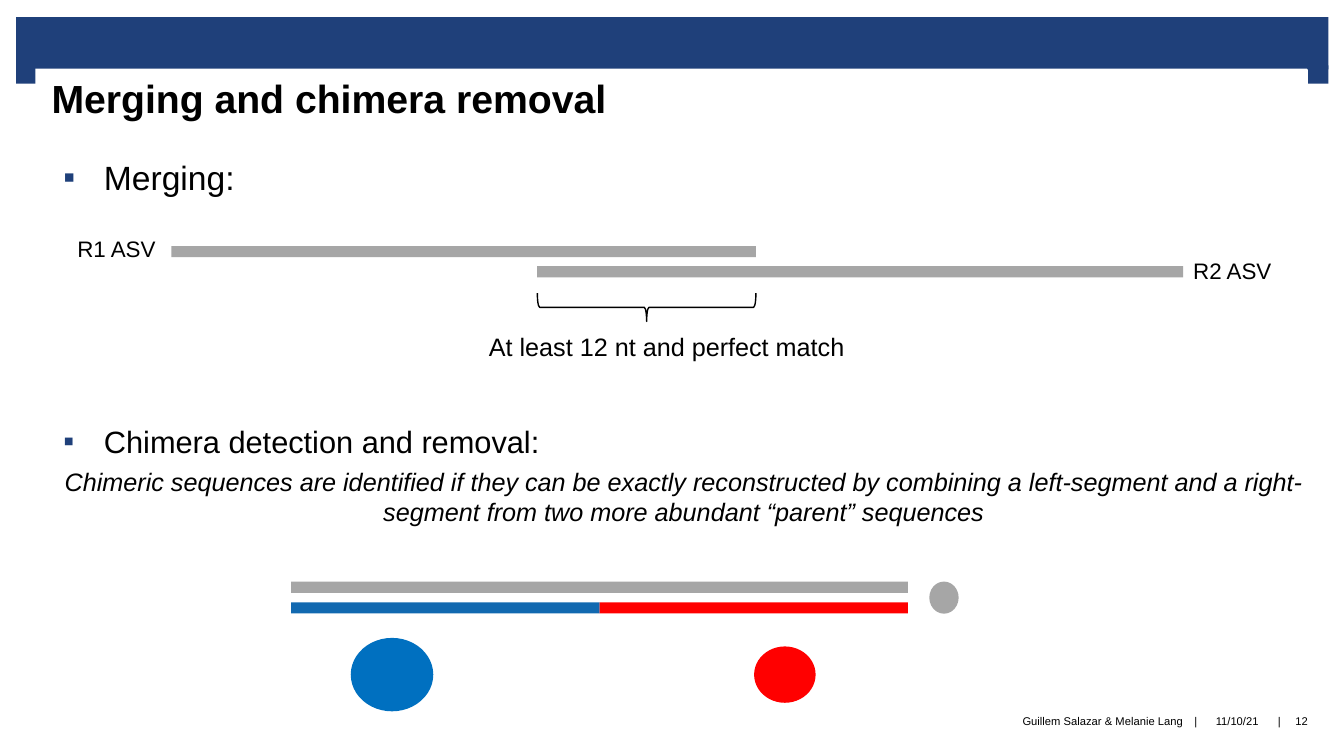
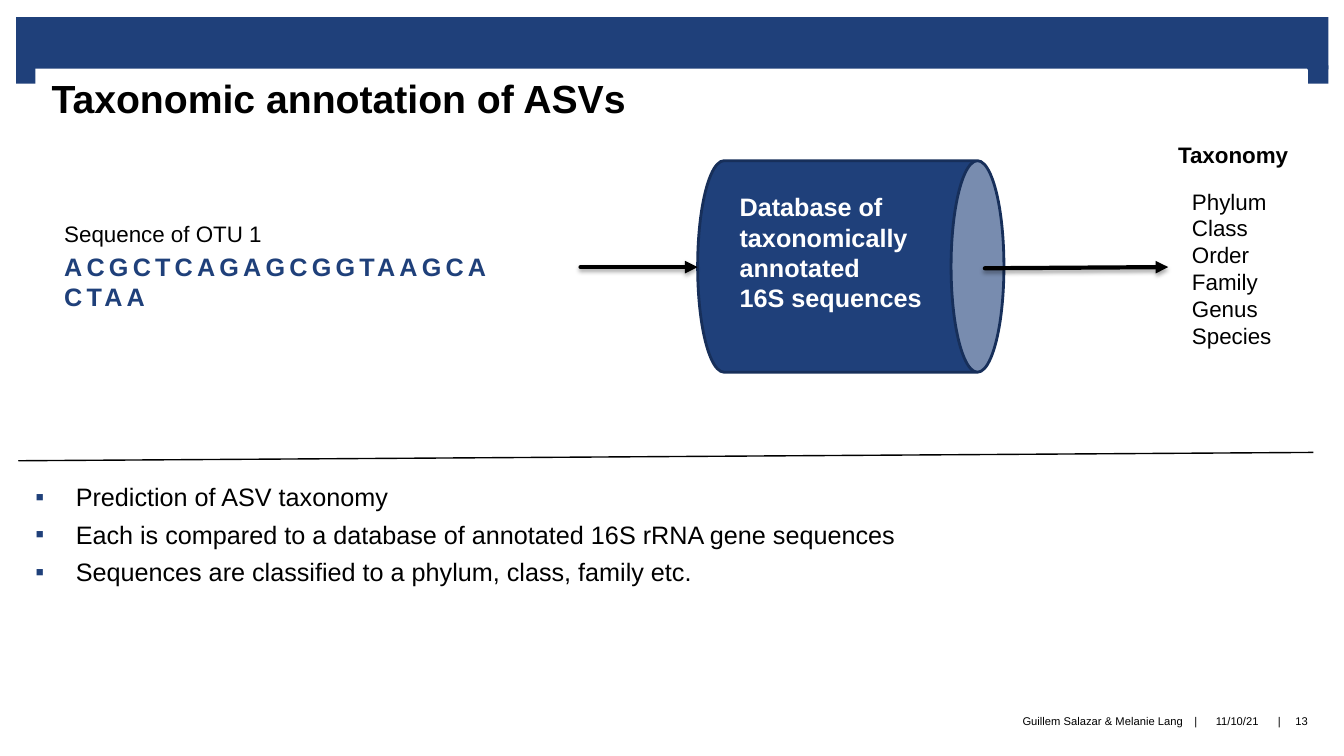
from collections import namedtuple
from dataclasses import dataclass

from lxml.etree import SubElement
from pptx import Presentation
from pptx.dml.color import RGBColor
from pptx.enum.shapes import MSO_CONNECTOR as Connector, MSO_SHAPE as Shape
from pptx.enum.text import MSO_ANCHOR as Anchor, PP_ALIGN as Align
from pptx.oxml.ns import qn
from pptx.util import Cm, Pt


@dataclass(frozen=True)
class Theme:
    font: str = "Arial"
    navy: str = "1F407A"
    navy_edge: str = "172F5A"
    black: str = "000000"
    white: str = "FFFFFF"
    gray: str = "A6A6A6"
    red: str = "FF0000"
    left_parent: str = "1269B0"
    left_parent_dot: str = "0070C0"
    title: int = 28
    lead: int = 24
    sublead: int = 22
    body: int = 18
    label: int = 16
    footer: int = 8


THEME = Theme()
TEXT_INSETS = (0.25, 0.13, 0.25, 0.13)
BODY_INSETS = (0.38, 0, 0.41, 0)
TITLE_INSETS = (0.41, 0.15, 0.41, 0)
NO_INSETS = (0, 0, 0, 0)
BULLET_INDENT = 1.02
BAR_HEIGHT = 0.28


class Box(namedtuple("Box", "left top width height")):
    """A rectangle in centimetres."""

    def inner(self, x, y, width, height):
        return Box(self.left + x, self.top + y, width, height)

    def lengths(self):
        return [Cm(value) for value in self]


def color(code):
    return RGBColor.from_string(code)


def add_figure(page, kind, box, fill=None, line=None, line_width=1):
    figure = page.shapes.add_shape(kind, *box.lengths())
    figure.shadow.inherit = False
    if fill:
        figure.fill.solid()
        figure.fill.fore_color.rgb = color(fill)
    else:
        figure.fill.background()
    if line:
        figure.line.color.rgb = color(line)
        figure.line.width = Pt(line_width)
    else:
        figure.line.fill.background()
    return figure


def add_turned(page, kind, box, **style):
    """Turn a preset by 90 degrees so that it fills the given box."""
    shift = (box.width - box.height) / 2
    upright = box.inner(shift, -shift, box.height, box.width)
    figure = add_figure(page, kind, upright, **style)
    figure.rotation = 90
    return figure


def add_dot(page, center_x, center_y, width, height, fill):
    box = Box(center_x - width / 2, center_y - height / 2, width, height)
    add_figure(page, Shape.OVAL, box, fill)


def style_para(para, size, ink=THEME.black, bold=None, italic=None):
    font = para.font
    font.name, font.size = THEME.font, Pt(size)
    font.bold, font.italic = bold, italic
    font.color.rgb = color(ink)


def add_bullet(para):
    props = para._p.get_or_add_pPr()
    props.set("marL", str(Cm(BULLET_INDENT)))
    props.set("indent", str(-Cm(BULLET_INDENT)))
    tint = SubElement(props, qn("a:buClr"))
    SubElement(tint, qn("a:srgbClr"), val=THEME.navy)
    SubElement(props, qn("a:buFont"), typeface=THEME.font)
    SubElement(props, qn("a:buChar"), char="▪")


def set_frame(frame, insets, wrap=True, anchor=Anchor.TOP):
    frame.word_wrap = wrap
    frame.vertical_anchor = anchor
    (frame.margin_left, frame.margin_top,
     frame.margin_right, frame.margin_bottom) = map(Cm, insets)


def add_text(page, box, lines, size, align=Align.LEFT, insets=TEXT_INSETS,
             wrap=True, anchor=Anchor.TOP, **style):
    frame = page.shapes.add_textbox(*box.lengths()).text_frame
    set_frame(frame, insets, wrap, anchor)
    for index, line in enumerate(lines):
        para = frame.paragraphs[0] if index == 0 else frame.add_paragraph()
        para.text = line
        para.alignment = align
        style_para(para, size, **style)
    return frame


def add_bullets(page, box, lines, size):
    frame = add_text(page, box, [], size, insets=BODY_INSETS)
    for index, line in enumerate(lines):
        para = frame.paragraphs[0] if index == 0 else frame.add_paragraph()
        para.text = line
        add_bullet(para)
        if index:
            para.space_before = Pt(5)
        style_para(para, size)
    return frame


def add_line(page, start, end, width):
    line = page.shapes.add_connector(
        Connector.STRAIGHT, *(Cm(value) for value in (*start, *end)))
    line.line.color.rgb = color(THEME.black)
    line.line.width = Pt(width)
    effects = SubElement(line._element.spPr, qn("a:effectLst"))
    return line, effects


def add_arrow(page, start, end):
    """Draw a thick arrow with a soft shadow below it."""
    arrow, effects = add_line(page, start, end, 3)
    stroke = arrow.line._get_or_add_ln()
    stroke.set("cap", "rnd")
    SubElement(stroke, qn("a:tailEnd"), type="triangle")
    shadow = SubElement(effects, qn("a:outerShdw"), blurRad=str(Pt(3.1)),
                        dist=str(Pt(1.8)), dir="5400000", rotWithShape="0")
    tint = SubElement(shadow, qn("a:srgbClr"), val=THEME.black)
    SubElement(tint, qn("a:alpha"), val="35000")


def add_banner(page, box):
    tab_width, tab_top, tab_height = 0.51, 1.22, 0.46
    add_figure(page, Shape.RECTANGLE, box, THEME.navy)
    for x in (0, box.width - tab_width):
        tab = box.inner(x, tab_top, tab_width, tab_height)
        add_figure(page, Shape.RECTANGLE, tab, THEME.navy)


def add_title(page, box, title):
    plate = add_figure(page, Shape.RECTANGLE, box, THEME.white)
    set_frame(plate.text_frame, TITLE_INSETS)
    para = plate.text_frame.paragraphs[0]
    para.text = title
    para.alignment = Align.LEFT
    style_para(para, THEME.title, bold=True)


def add_footer(page, box, number):
    cells = (
        (0, 12.88, "Guillem Salazar & Melanie Lang", Align.RIGHT),
        (13.01, 0.38, "|", Align.CENTER),
        (13.39, 1.7, "11/10/21", Align.CENTER),
        (15.11, 0.38, "|", Align.CENTER),
        (15.37, 0.99, str(number), Align.CENTER),
    )
    for x, width, text, align in cells:
        add_text(page, box.inner(x, 0, width, box.height), [text],
                 THEME.footer, align, NO_INSETS, anchor=Anchor.MIDDLE)


def add_page(deck, title, number):
    page = deck.slides.add_slide(deck.slide_layouts[6])
    add_banner(page, Box(0.41, 0.43, 33.07, 1.32))
    add_title(page, Box(0.89, 1.73, 32.05, 1.7), title)
    add_footer(page, Box(16.94, 17.52, 16.36, 1.28), number)
    return page


def add_merging_diagram(page, box):
    """Two reads whose shared stretch is marked by a brace."""
    first = box.inner(2.62, 0.41, 14.73, BAR_HEIGHT)
    second = box.inner(11.84, 0.92, 16.28, BAR_HEIGHT)
    for bar in (first, second):
        add_figure(page, Shape.RECTANGLE, bar, THEME.gray)
    overlap = first.left + first.width - second.left
    add_turned(page, Shape.RIGHT_BRACE, second.inner(0, 0.68, overlap, 0.71),
               line=THEME.black)
    for x, y, text in ((0, 0, "R1 ASV"), (28.12, 0.56, "R2 ASV")):
        add_text(page, box.inner(x, y, 2.51, 0.94), [text], THEME.label,
                 wrap=False)
    add_text(page, box.inner(10.37, 2.44, 9.73, 1.02),
             ["At least 12 nt and perfect match"], THEME.body, wrap=False)


def add_chimera_diagram(page, box):
    """A chimera above its two parents, with dots for abundance."""
    half = box.width / 2
    add_figure(page, Shape.RECTANGLE,
               box.inner(0, 0, box.width, BAR_HEIGHT), THEME.gray)
    for index, fill in enumerate((THEME.left_parent, THEME.red)):
        add_figure(page, Shape.RECTANGLE,
                   box.inner(index * half, 0.52, half, BAR_HEIGHT), fill)
    for x, y, width, height, fill in (
        (16.45, 0.4, 0.74, 0.81, THEME.gray),
        (2.54, 2.34, 2.08, 1.85, THEME.left_parent_dot),
        (12.44, 2.34, 1.55, 1.42, THEME.red),
    ):
        add_dot(page, box.left + x, box.top + y, width, height, fill)


def add_annotation_flow(page, box):
    """Sequence, database and taxonomic ranks from left to right."""
    def point(x, y):
        return box.left + x, box.top + y

    add_text(page, box.inner(0, 1.98, 9.91, 0.94), ["Sequence of OTU 1"],
             THEME.label)
    sequence = add_text(page, box.inner(0, 2.77, 11.28, 1.02),
                        ["ACGCTCAGAGCGGTAAGCACTAA"], THEME.body,
                        ink=THEME.navy, bold=True)
    span = sequence.paragraphs[0].runs[0]
    span._r.get_or_add_rPr().set("spc", "300")

    add_turned(page, Shape.CAN, box.inner(16.21, 0.62, 7.72, 5.33),
               fill=THEME.navy, line=THEME.navy_edge, line_width=2)
    add_text(page, box.inner(17.02, 1.27, 5.61, 3.33),
             ["Database of taxonomically annotated", "16S sequences"],
             THEME.body, ink=THEME.white, bold=True)
    add_arrow(page, point(13.26, 3.3), point(16.21, 3.3))
    add_arrow(page, point(23.45, 3.33), point(28.07, 3.3))

    add_text(page, box.inner(28.07, 0, 3.6, 0.94), ["Taxonomy"],
             THEME.label, bold=True)
    ranks = ["Phylum", "Class", "Order", "Family", "Genus", "Species"]
    add_text(page, box.inner(28.42, 1.17, 2.62, 5.05), ranks, THEME.label)


def build_merging_page(deck):
    page = add_page(deck, "Merging and chimera removal", 12)
    add_bullets(page, Box(1.22, 3.95, 32.05, 1.2), ["Merging:"], THEME.lead)
    add_merging_diagram(page, Box(1.7, 5.79, 30.63, 3.46))
    frame = add_bullets(page, Box(1.22, 10.64, 32.05, 3),
                        ["Chimera detection and removal:"], THEME.sublead)
    para = frame.add_paragraph()
    para.text = ("Chimeric sequences are identified if they can be exactly "
                 "reconstructed by combining a left-segment and a "
                 "right-segment from two more abundant “parent” sequences")
    para.alignment = Align.CENTER
    para.space_before = Pt(5)
    style_para(para, THEME.body, italic=True)
    add_chimera_diagram(page, Box(7.34, 14.66, 15.54, 3.3))


def build_taxonomy_page(deck):
    page = add_page(deck, "Taxonomic annotation of ASVs", 13)
    add_annotation_flow(page, Box(1.37, 3.43, 31.67, 6.22))
    add_line(page, (0.46, 11.61), (33.1, 11.4), 1)
    add_bullets(page, Box(0.51, 12.14, 32.05, 4), [
        "Prediction of ASV taxonomy",
        "Each is compared to a database of annotated 16S rRNA gene sequences",
        "Sequences are classified to a phylum, class, family etc.",
    ], THEME.body)


def main():
    deck = Presentation()
    deck.slide_width, deck.slide_height = Cm(33.87), Cm(19.05)
    build_merging_page(deck)
    build_taxonomy_page(deck)
    deck.save("out.pptx")


if __name__ == "__main__":
    main()
